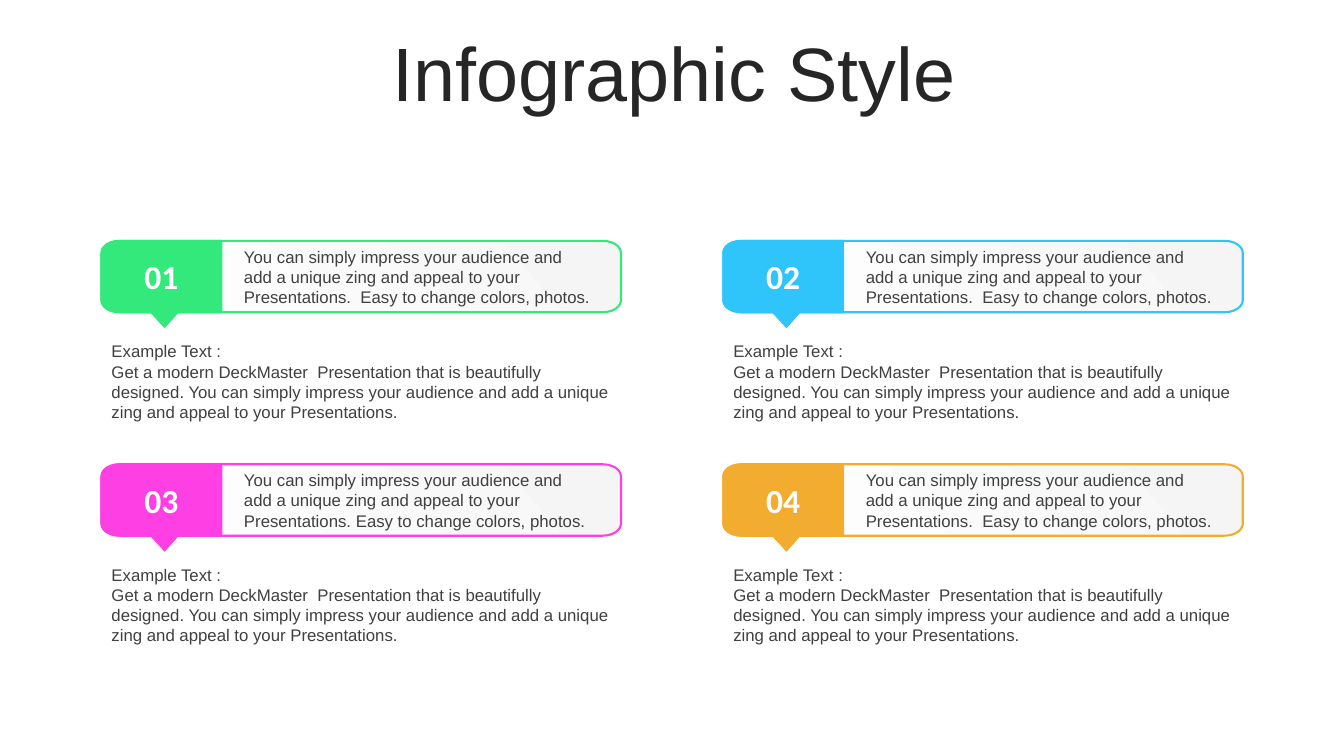
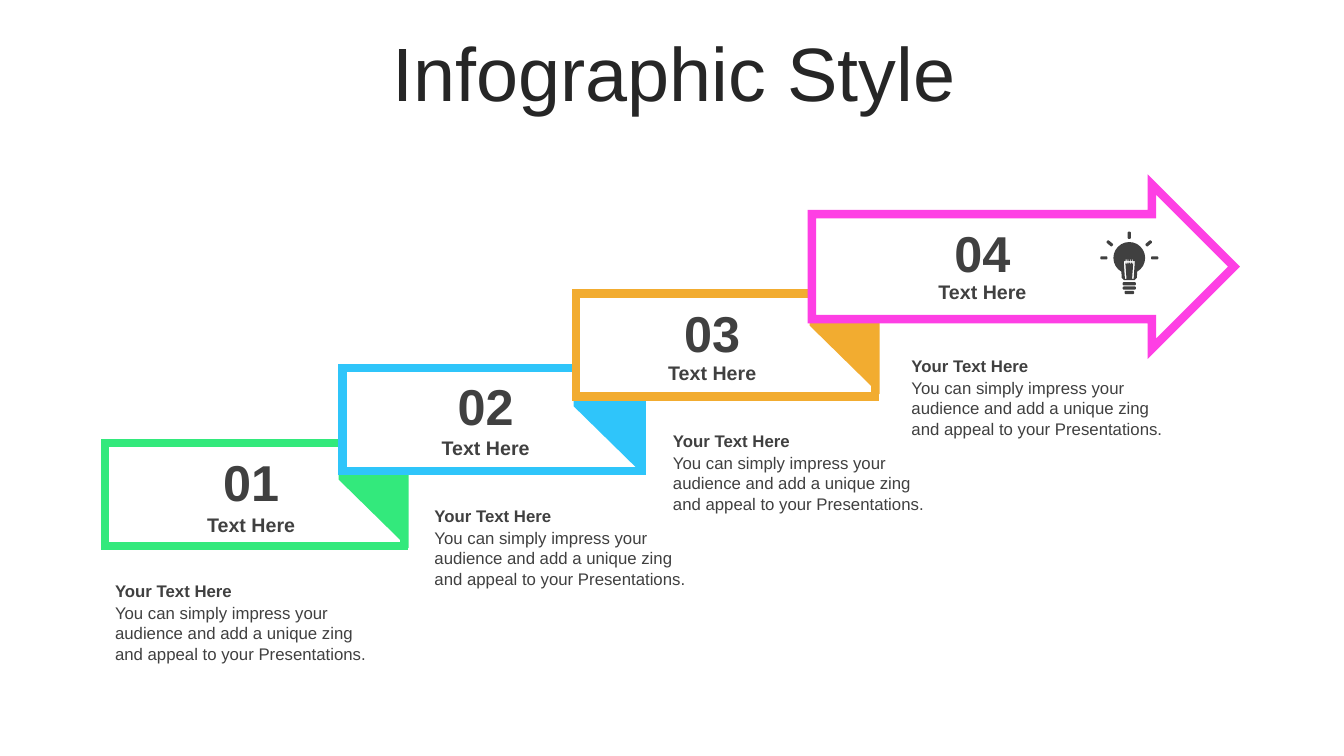
from math import cos, radians, sin

from lxml.etree import SubElement
from pptx import Presentation
from pptx.dml.color import RGBColor
from pptx.enum.shapes import MSO_SHAPE
from pptx.enum.text import MSO_ANCHOR, MSO_AUTO_SIZE, PP_ALIGN
from pptx.oxml.ns import qn
from pptx.util import Cm, Pt

GREEN, BLUE, PINK, ORANGE = "33E97C", "2FC5FA", "FE3FE4", "F2AC30"
WHITE, PALE, DARK, TITLE = "FFFFFF", "F5F5F5", "404040", "262626"
PITCH = "You can simply impress your audience and add a unique zing and appeal to your Presentations."


def paint(shape, fill, line=None, line_width=0):
    shape.shadow.inherit = False
    shape.fill.solid()
    shape.fill.fore_color.rgb = RGBColor.from_string(fill)
    if line is None:
        shape.line.fill.background()
    else:
        shape.line.color.rgb = RGBColor.from_string(line)
        shape.line.width = Pt(line_width)
        SubElement(shape.line._ln, qn("a:miter"), lim="800000")


def add_text(slide, left, top, width, height, lines, size=12, color=DARK,
             align=PP_ALIGN.LEFT, font="Arial", gap=0):
    box = slide.shapes.add_textbox(Cm(left), Cm(top), Cm(width), Cm(height))
    frame = box.text_frame
    frame.word_wrap = True
    for index, (text, bold) in enumerate(lines):
        paragraph = frame.add_paragraph() if index else frame.paragraphs[0]
        paragraph.alignment = align
        if index:
            paragraph.space_before = Pt(gap)
        run = paragraph.add_run()
        run.text = text
        run.font.name = font
        run.font.size = Pt(size)
        run.font.bold = bold
        run.font.color.rgb = RGBColor.from_string(color)


presentation = Presentation()
presentation.slide_width = Cm(33.87)
presentation.slide_height = Cm(19.05)

slides = []
for title_text in ["Infographic Style"] * 2:
    slide = presentation.slides.add_slide(presentation.slide_layouts[5])
    title = slide.shapes.title
    title.left, title.top, title.width, title.height = Cm(0.91), Cm(0.94), Cm(32.16), Cm(2)
    title.text_frame.auto_size = MSO_AUTO_SIZE.NONE
    title.text_frame.vertical_anchor = MSO_ANCHOR.MIDDLE
    paragraph = title.text_frame.paragraphs[0]
    paragraph.alignment = PP_ALIGN.CENTER
    paragraph.line_spacing = 0.9
    run = paragraph.add_run()
    run.text = title_text
    run.font.name = "Arial"
    run.font.size = Pt(54)
    run.font.color.rgb = RGBColor.from_string(TITLE)
    slides.append(slide)
panel_slide, step_slide = slides

panel_width, panel_height, tab_width = 13.09, 1.8, 3.02
radius_x, radius_y = 0.46, 0.3
arc = [(radius_x * sin(radians(angle)), radius_y * cos(radians(angle))) for angle in range(0, 91, 15)]
pointer = [(1.91, panel_height), (1.59, 2.16), (1.26, panel_height)]
left_side = [(radius_x - x, panel_height - radius_y + y) for x, y in arc]
left_side += [(radius_x - x, radius_y - y) for x, y in reversed(arc)]
round_side = [(panel_width - radius_x + x, radius_y - y) for x, y in arc]
round_side += [(panel_width - radius_x + x, panel_height - radius_y + y) for x, y in reversed(arc)]
square_side = [(tab_width, 0), (tab_width, panel_height)]

panels = [("01", GREEN, "  "), ("02", BLUE, "  "), ("03", PINK, " "), ("04", ORANGE, "  ")]
for index, (number, color, separator) in enumerate(panels):
    row, column = divmod(index, 2)
    left, top = 2.56 + 15.67 * column, 6.07 + 5.63 * row
    for right_side, is_panel in [(round_side, True), (square_side, False)]:
        points = [(Cm(left + x), Cm(top + y)) for x, y in right_side + pointer + left_side]
        builder = panel_slide.shapes.build_freeform(*points[0])
        builder.add_line_segments(points[1:], close=True)
        shape = builder.convert_to_shape()
        paint(shape, color, color, 1.5)
        if is_panel:
            shape.fill.gradient()
            shape.fill.gradient_angle = 220
            for stop, position, shade in zip(shape.fill.gradient_stops, (0, 1), (PALE, WHITE)):
                stop.position = position
                stop.color.rgb = RGBColor.from_string(shade)
    add_text(panel_slide, left + 0.52, top + 0.26, 1.98, 1.27, [(number, True)],
             24, WHITE, PP_ALIGN.CENTER, "Calibri")
    add_text(panel_slide, left + 3.34, top + 0.02, 9.35, 1.8,
             [(PITCH + separator + "Easy to change colors, photos.", False)])
    add_text(panel_slide, left, top + 2.4, panel_width, 2.31, [
        ("Example Text :", False),
        ("Get a modern DeckMaster  Presentation that is beautifully designed. " + PITCH, False),
    ])

cards = [
    (2.65, 11.17, 8.64, 9.45, GREEN),
    (8.63, 9.28, 14.56, 7.6, BLUE),
    (14.52, 7.4, 20.51, 5.57, ORANGE),
]
fold = [(0, 0), (1.55, 1.52), (1.55, 4.11), (0, 2.59)]
for left, top, fold_left, fold_top, color in cards:
    card = step_slide.shapes.add_shape(MSO_SHAPE.RECTANGLE, Cm(left), Cm(top), Cm(7.54), Cm(2.59))
    paint(card, WHITE, color, 6)
    points = [(Cm(fold_left + x), Cm(fold_top + y)) for x, y in fold]
    builder = step_slide.shapes.build_freeform(*points[0])
    builder.add_line_segments(points[1:], close=True)
    paint(builder.convert_to_shape(), color, color, 6)

arrow = step_slide.shapes.add_shape(MSO_SHAPE.RIGHT_ARROW, Cm(20.46), Cm(4.65), Cm(10.64), Cm(4.14))
arrow.adjustments[0] = 0.64
arrow.adjustments[1] = 0.5
paint(arrow, WHITE, PINK, 6)

steps = [
    ("01", 6.33, 11.24, 12.8, 2.65),
    ("02", 12.24, 9.33, 10.85, 10.7),
    ("03", 17.95, 7.48, 8.97, 16.71),
    ("04", 24.76, 5.46, 6.93, 22.72),
]
for index, (number, center, number_top, label_top, text_left) in enumerate(steps):
    add_text(step_slide, center - 1.07, number_top, 2.14, 1.8, [(number, True)], 36, align=PP_ALIGN.CENTER)
    add_text(step_slide, center - 1.62, label_top, 3.24, 0.86, [("Text Here", True)], 14, align=PP_ALIGN.CENTER)
    add_text(step_slide, text_left, 14.51 - 1.9 * index + 0.01 * index, 6.88, 2.36,
             [("Your Text Here", True), (PITCH, False)], gap=1.5)

bulb_x, bulb_y, bulb_radius = 28.46, 6.5, 0.4
glass = [(bulb_radius * cos(radians(angle)), bulb_radius * sin(radians(angle))) for angle in range(120, 421, 15)]
glass += [(0.19, 0.5), (0.13, 0.56), (-0.13, 0.56), (-0.19, 0.5)]

teeth = (-0.08, -0.03, 0.03, 0.08)
filament = [(-0.11, 0.53), (-0.14, 0.08)]
for x in teeth:
    filament += [(x - 0.01, 0.08), (x - 0.01, 0.04), (x + 0.01, 0.04), (x + 0.01, 0.08)]
filament += [(0.14, 0.08), (0.11, 0.53), (0.07, 0.53), (0.1, 0.12)]
for x in reversed(teeth):
    filament += [(x + 0.01, 0.12), (x + 0.01, 0.15), (x - 0.01, 0.15), (x - 0.01, 0.12)]
filament += [(-0.1, 0.12), (-0.07, 0.53)]

bars = [(0, 0.65, 0.33, 0), (0, 0.76, 0.33, 0), (0, 0.87, 0.24, 0)]
for angle in (180, 220, 270, 320, 360):
    bars.append((0.64 * cos(radians(angle)), 0.57 * sin(radians(angle)), 0.18, radians(angle)))
contours = [glass, filament]
for x, y, length, angle in bars:
    half = length / 2
    corners = [(half, 0.02), (half - 0.02, 0.04), (0.02 - half, 0.04), (-half, 0.02),
               (-half, -0.02), (0.02 - half, -0.04), (half - 0.02, -0.04), (half, -0.02)]
    contours.append([(x + u * cos(angle) - v * sin(angle), y + u * sin(angle) + v * cos(angle))
                     for u, v in corners])

builder = None
for contour in contours:
    points = [(Cm(bulb_x + x), Cm(bulb_y + y)) for x, y in contour]
    if builder is None:
        builder = step_slide.shapes.build_freeform(*points[0])
    else:
        builder.move_to(*points[0])
    builder.add_line_segments(points[1:], close=True)
paint(builder.convert_to_shape(), DARK)

presentation.save("out.pptx")
